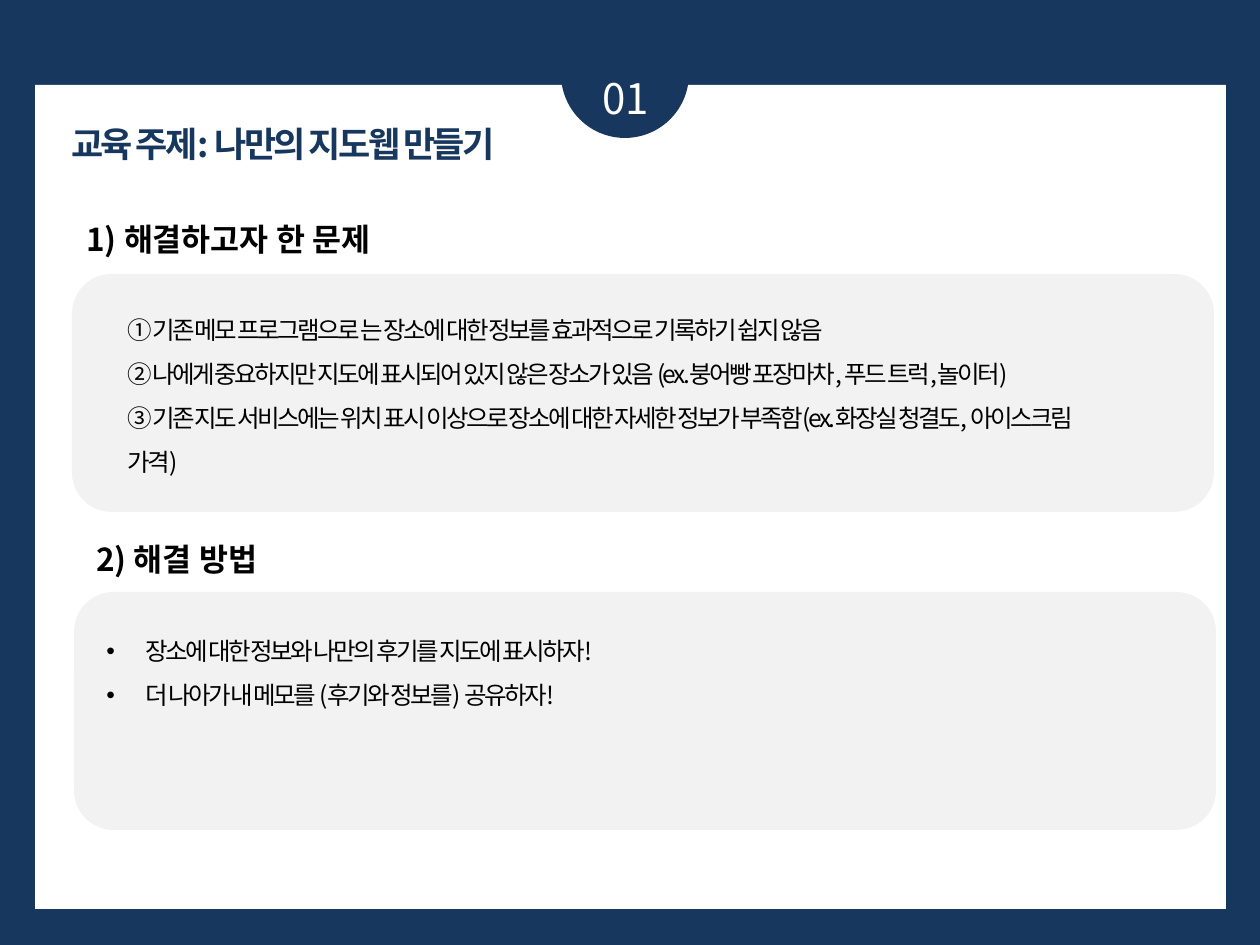
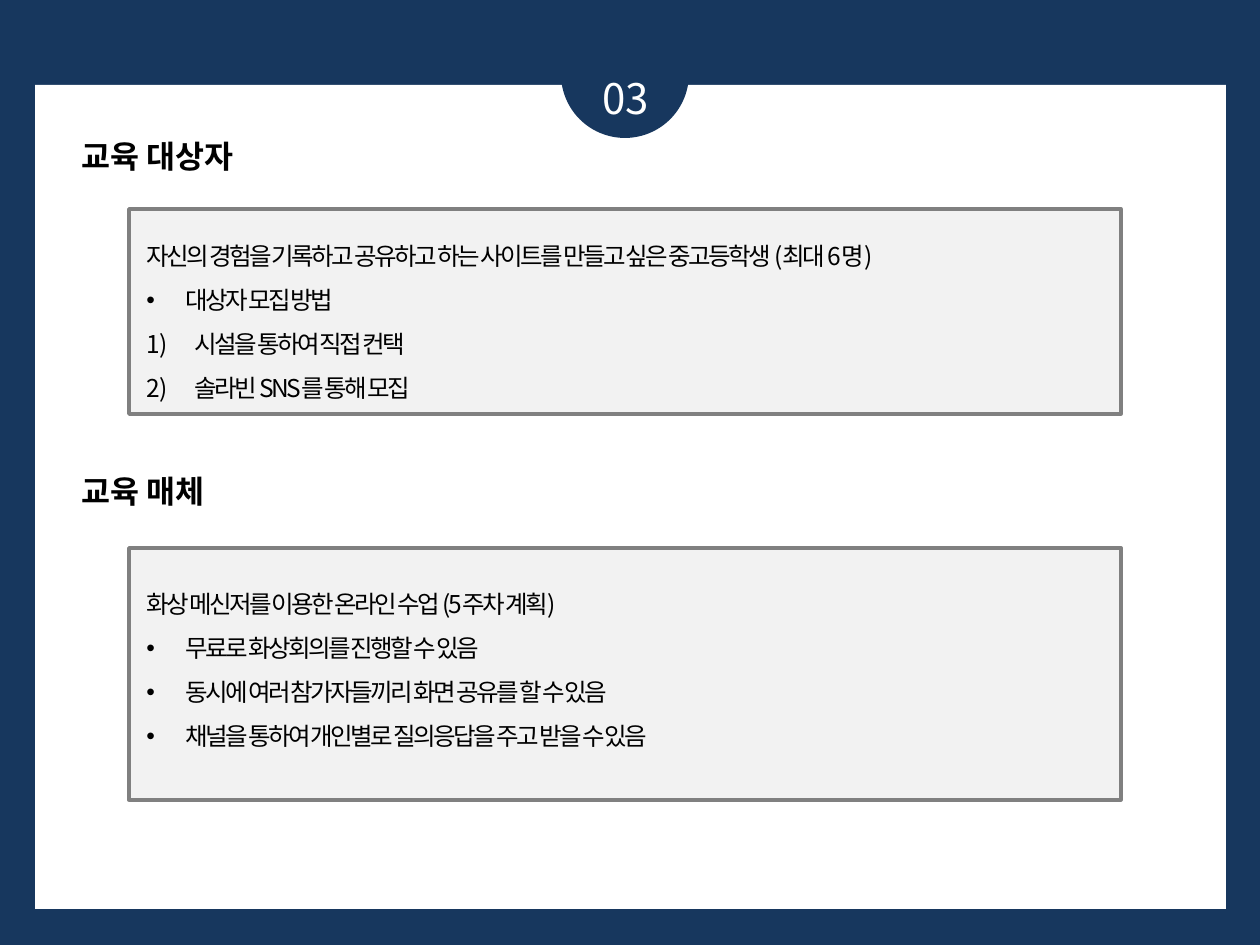
import pptx
import pptx.dml.color
import pptx.enum.shapes
import pptx.enum.text
import pptx.oxml.ns
import pptx.util
from lxml import etree

RGBColor = pptx.dml.color.RGBColor
NAVY = RGBColor(0x17, 0x37, 0x5E)
WHITE = RGBColor(0xFF, 0xFF, 0xFF)
BLACK = RGBColor(0, 0, 0)
PALE = RGBColor(0xF2, 0xF2, 0xF2)
GRAY = RGBColor(0x80, 0x80, 0x80)
FONT = "Noto Sans CJK KR"
SHAPES = pptx.enum.shapes.MSO_SHAPE
BODY_WIDTH = 983
PLAIN, HANGING, BULLET, NUMBER = "plain", "hanging", "bullet", "number"
INDENTS = {PLAIN: 0, HANGING: 36, BULLET: 39, NUMBER: 48}


def px(length):
    return pptx.util.Emu(round(length * 914400 / 126))


def add_child(parent, tag, **attributes):
    return etree.SubElement(parent, pptx.oxml.ns.qn(tag), attributes)


class Deck:
    """Holds the shared style and the slide being built."""

    def __init__(self):
        self.presentation = pptx.Presentation()
        self.presentation.slide_width = px(1260)
        self.presentation.slide_height = px(945)
        self.slide = None

    def new_slide(self, number):
        self.slide = self.presentation.slides.add_slide(self.presentation.slide_layouts[6])
        background = self.slide.background.fill
        background.solid()
        background.fore_color.rgb = NAVY
        self.panel(SHAPES.RECTANGLE, 35, 85, 1191, 824, WHITE)
        self.panel(SHAPES.OVAL, 561, 10, 128, 128, NAVY)
        paragraph = self.text_frame(551, 66, 149, 63).paragraphs[0]
        paragraph.alignment = pptx.enum.text.PP_ALIGN.CENTER
        self.run(paragraph, number, 24, WHITE)

    def panel(self, kind, left, top, width, height, color, border=None):
        shape = self.slide.shapes.add_shape(kind, px(left), px(top), px(width), px(height))
        shape.shadow.inherit = False
        shape.fill.solid()
        shape.fill.fore_color.rgb = color
        if border is None:
            shape.line.fill.background()
        else:
            shape.line.color.rgb = border
            shape.line.width = pptx.util.Pt(2)

    def rounded_panel(self, left, top):
        self.panel(SHAPES.ROUNDED_RECTANGLE, left, top, 1142, 238, PALE)

    def framed_panel(self, top, height):
        self.panel(SHAPES.RECTANGLE, 129, top, 992, height, PALE, GRAY)

    def text_frame(self, left, top, width, height):
        shape = self.slide.shapes.add_textbox(px(left), px(top), px(width), px(height))
        frame = shape.text_frame
        frame.word_wrap = True
        frame.auto_size = pptx.enum.text.MSO_AUTO_SIZE.SHAPE_TO_FIT_TEXT
        return frame

    def run(self, paragraph, text, size, color=BLACK, bold=False, tight=False):
        run = paragraph.add_run()
        run.text = text
        run.font.size = pptx.util.Pt(size)
        run.font.name = FONT
        run.font.bold = bold
        run.font.color.rgb = color
        properties = run.font._element
        add_child(properties, "a:ea", typeface=FONT)
        if tight:
            properties.set("spc", "-150")

    def title(self, text):
        paragraph = self.text_frame(59, 116, 631, 106).paragraphs[0]
        self.run(paragraph, text, 20, NAVY, bold=True, tight=True)

    def heading(self, text, left, top):
        paragraph = self.text_frame(left, top, 456, 50).paragraphs[0]
        self.run(paragraph, text, 18, bold=True)

    def body(self, left, top, height, lines):
        frame = self.text_frame(left, top, BODY_WIDTH, height)
        for index, (style, text) in enumerate(lines):
            paragraph = frame.add_paragraph() if index else frame.paragraphs[0]
            paragraph.line_spacing = 1.5
            self.marker(paragraph, style)
            self.run(paragraph, text, 14, tight=True)

    def marker(self, paragraph, style):
        properties = paragraph._p.get_or_add_pPr()
        indent = px(INDENTS[style])
        properties.set("marL", str(indent))
        properties.set("indent", str(-indent))
        if style == BULLET:
            add_child(properties, "a:buFont", typeface="Arial")
            add_child(properties, "a:buChar", char="•")
        elif style == NUMBER:
            add_child(properties, "a:buFont", typeface="+mj-lt")
            add_child(properties, "a:buAutoNum", type="arabicParenR")


deck = Deck()

deck.new_slide("01")
deck.title("교육 주제: 나만의 지도웹 만들기")
deck.heading("1) 해결하고자 한 문제", 74, 214)
deck.rounded_panel(72, 274)
deck.body(115, 294, 217, [
    (HANGING, "① 기존 메모 프로그램으로 는 장소에 대한 정보를 효과적으로 기록하기 쉽지 않음"),
    (HANGING, "② 나에게 중요하지만 지도에 표시되어 있지 않은 장소가 있음 "
              "(ex.붕어빵 포장마차, 푸드 트럭,놀이터)"),
    (PLAIN, "③ 기존 지도 서비스에는 위치 표시 이상으로 장소에 대한 자세한 정보가 부족함"
            "(ex.화장실 청결도, 아이스크림 가격)"),
])
deck.heading("2) 해결 방법", 84, 534)
deck.rounded_panel(74, 592)
deck.body(94, 615, 96, [
    (BULLET, "장소에 대한 정보와 나만의 후기를 지도에 표시하자!"),
    (BULLET, "더 나아가 내 메모를 (후기와 정보를) 공유하자!"),
])

deck.new_slide("03")
deck.heading("교육 대상자", 69, 131)
deck.framed_panel(209, 205)
deck.body(134, 220, 185, [
    (HANGING, "자신의 경험을 기록하고 공유하고 하는 사이트를 만들고 싶은 중고등학생 (최대 6명)"),
    (BULLET, "대상자 모집 방법"),
    (NUMBER, "시설을 통하여 직접 컨택"),
    (NUMBER, "솔라빈 SNS를 통해 모집"),
])
deck.heading("교육 매체", 69, 466)
deck.framed_panel(548, 252)
deck.body(134, 568, 185, [
    (HANGING, "화상 메신저를 이용한 온라인 수업 (5주차 계획)"),
    (BULLET, "무료로 화상회의를 진행할 수 있음"),
    (BULLET, "동시에 여러 참가자들끼리 화면 공유를 할 수 있음"),
    (BULLET, "채널을 통하여 개인별로 질의응답을 주고 받을 수 있음"),
])

deck.presentation.save("out.pptx")
